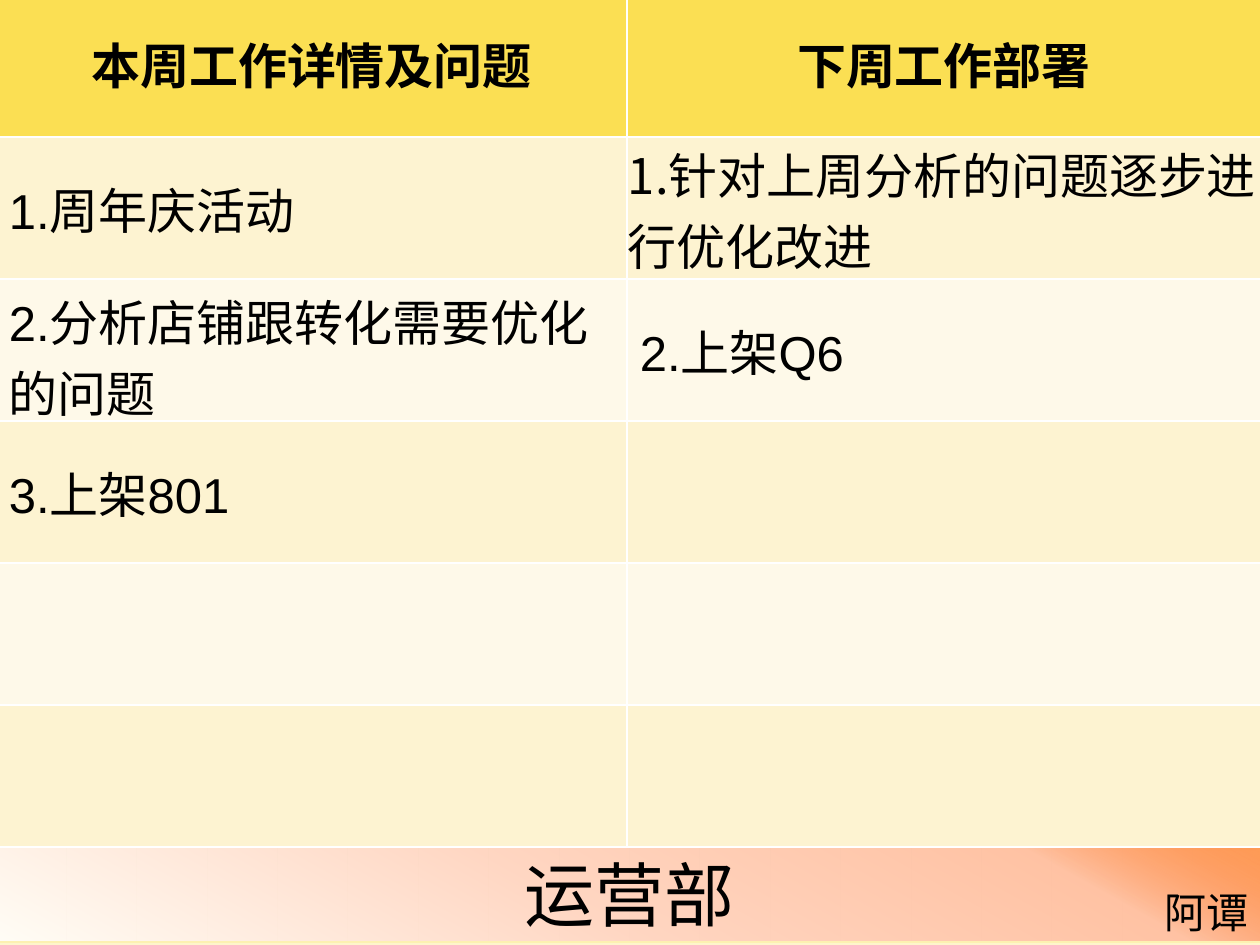
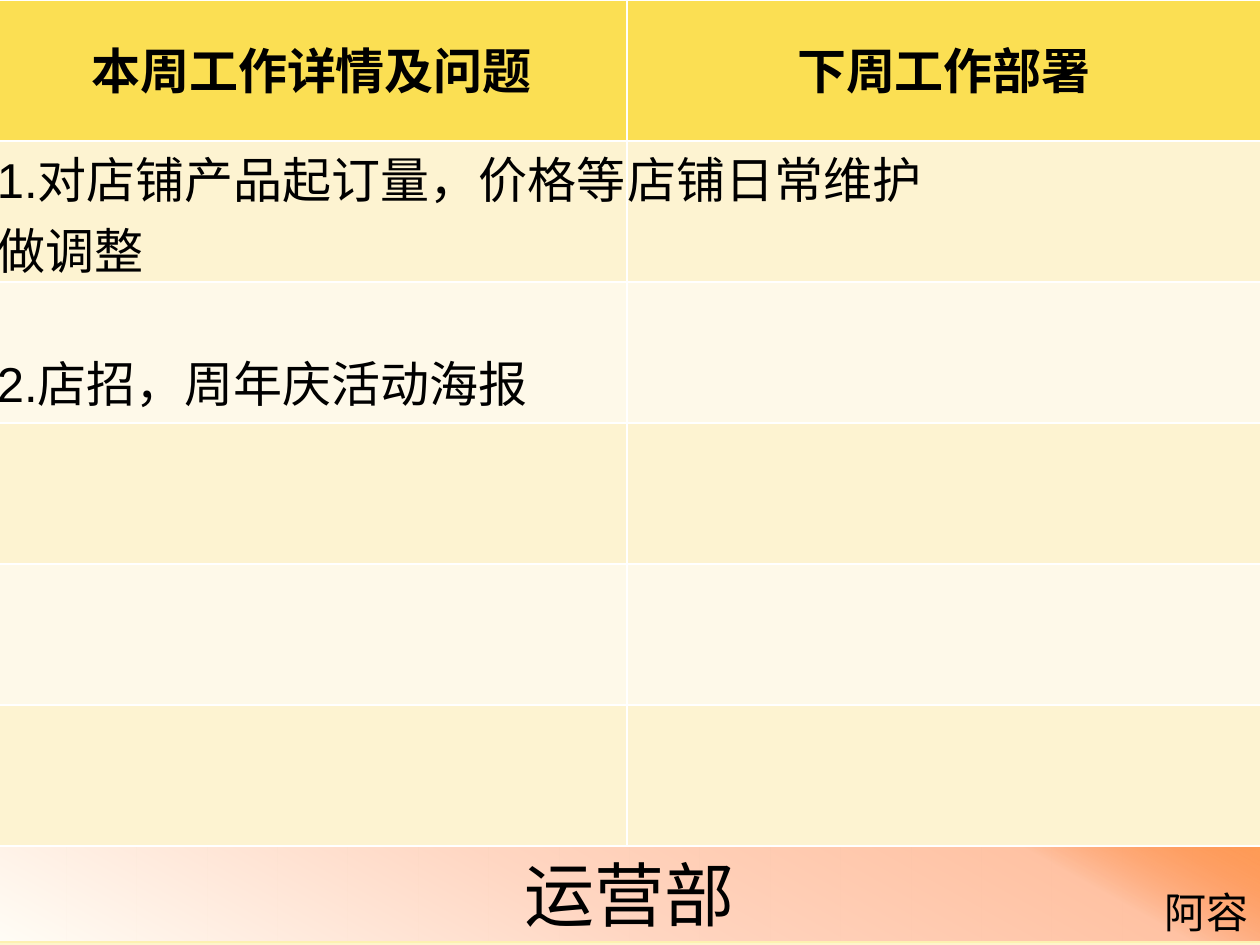
from lxml.etree import SubElement
from pptx import Presentation
from pptx.dml.color import RGBColor
from pptx.enum.shapes import MSO_SHAPE
from pptx.enum.text import MSO_ANCHOR, PP_ALIGN
from pptx.oxml.ns import qn
from pptx.util import Pt

PX = 914400 / 126
CJK, LATIN = "Noto Sans CJK SC", "Arial"
BLACK = RGBColor(0x00, 0x00, 0x00)
HEADER = RGBColor(0xFB, 0xDF, 0x53)
STRIPES = RGBColor(0xFD, 0xF3, 0xD1), RGBColor(0xFE, 0xF9, 0xE9)
IVORY = RGBColor(0xFF, 0xFD, 0xF6)
LEMON = RGBColor(0xFD, 0xF1, 0xB2)
CREAM = RGBColor(0xFE, 0xF5, 0xCB)
PEACH = RGBColor(0xFF, 0xD6, 0xC2)
SALMON = RGBColor(0xFF, 0xC2, 0xA3)
ORANGE = RGBColor(0xFF, 0x5D, 0x0D)

# Gradient stops: position %, colour, opacity %
PAGE_STOPS = [(0, IVORY, 100), (74, LEMON, 100), (83, LEMON, 100), (100, CREAM, 100)]
BAND_STOPS = [(0, IVORY, 100), (45, PEACH, 100), (83, SALMON, 100), (100, ORANGE, 58)]

HEADINGS = ("本周工作详情及问题", "下周工作部署")
DEPARTMENT = "运营部"
BAND_BOX = (-3, 845, 1265, 97)
COLUMN_WIDTHS = (631, 634)
ROW_COUNT = 6
TIGHT = (1, 1, 1, 6)
ROOMY = (13, 6, 13, 6)
TOP, MIDDLE, BOTTOM = MSO_ANCHOR.TOP, MSO_ANCHOR.MIDDLE, MSO_ANCHOR.BOTTOM

# Entries: (row, column): text, font, anchor, margins
REPORTS = [
    {
        "author": "阿谭", "top": -5, "row_height": 142,
        "entries": {
            (1, 0): ("1.周年庆活动", LATIN, MIDDLE, ROOMY),
            (1, 1): ("1.针对上周分析的问题逐步进行优化改进", CJK, BOTTOM, TIGHT),
            (2, 0): ("2.分析店铺跟转化需要优化的问题", LATIN, MIDDLE, ROOMY),
            (2, 1): ("2.上架Q6", LATIN, MIDDLE, ROOMY),
            (3, 0): ("3.上架801", LATIN, MIDDLE, ROOMY),
        },
    },
    {
        "author": "阿容", "top": 0, "row_height": 141,
        "entries": {
            (1, 0): ("1.对店铺产品起订量，价格等做调整", LATIN, BOTTOM, TIGHT),
            (1, 1): ("店铺日常维护", LATIN, TOP, TIGHT),
            (2, 0): ("2.店招，周年庆活动海报", LATIN, BOTTOM, TIGHT),
        },
    },
]


def px(*lengths):
    return [round(length * PX) for length in lengths]


def set_gradient(fill, owner, stops, angle):
    """Fill with stops; angle is clockwise degrees, owner the element holding the fill."""
    fill.gradient()
    gradient = owner.find(".//" + qn("a:gradFill"))
    stop_list = gradient.find(qn("a:gsLst"))
    for stop in list(stop_list):
        stop_list.remove(stop)
    for position, color, opacity in stops:
        stop = SubElement(stop_list, qn("a:gs"), pos=str(position * 1000))
        rgb = SubElement(stop, qn("a:srgbClr"), val=str(color))
        if opacity < 100:
            SubElement(rgb, qn("a:alpha"), val=str(opacity * 1000))
    gradient.find(qn("a:lin")).set("ang", str(angle * 60000))


def write(frame, text, size, align, latin=CJK, bold=False):
    paragraph = frame.paragraphs[0]
    paragraph.alignment = align
    run = paragraph.add_run()
    run.text = text
    font = run.font
    font.size, font.name, font.bold = Pt(size), latin, bold
    font.color.rgb = BLACK
    SubElement(run._r.get_or_add_rPr(), qn("a:ea"), typeface=CJK)


def add_footer(slide, box, author):
    """Department band with the author's name in its lower right corner."""
    left, top, width, height = box
    band = slide.shapes.add_shape(MSO_SHAPE.RECTANGLE, *px(*box))
    band.shadow.inherit = False
    set_gradient(band.fill, band._element.spPr, BAND_STOPS, 299)
    band.line.color.rgb = LEMON
    band.line.width = Pt(0.75)
    write(band.text_frame, DEPARTMENT, 40, PP_ALIGN.CENTER)

    name_width = 110
    name = slide.shapes.add_textbox(
        *px(left + width - name_width - 1, top + height - 62, name_width, 63))
    name.text_frame.word_wrap = False
    write(name.text_frame, author, 24, PP_ALIGN.RIGHT)


def set_margins(cell, margins):
    (cell.margin_left, cell.margin_top,
     cell.margin_right, cell.margin_bottom) = px(*margins)


def add_work_table(slide, left, top, row_height, entries):
    table = slide.shapes.add_table(
        ROW_COUNT, len(COLUMN_WIDTHS),
        *px(left, top, sum(COLUMN_WIDTHS), ROW_COUNT * row_height)).table
    for column, width in zip(table.columns, COLUMN_WIDTHS):
        column.width = px(width)[0]
    for row in range(ROW_COUNT):
        for column, heading in enumerate(HEADINGS):
            cell = table.cell(row, column)
            cell.fill.solid()
            cell.fill.fore_color.rgb = STRIPES[(row - 1) % 2] if row else HEADER
            if row == 0:
                cell.vertical_anchor = MIDDLE
                set_margins(cell, TIGHT)
                write(cell.text_frame, heading, 28, PP_ALIGN.CENTER, bold=True)
            elif (row, column) in entries:
                text, latin, anchor, margins = entries[row, column]
                cell.vertical_anchor = anchor
                set_margins(cell, margins)
                write(cell.text_frame, text, 28, PP_ALIGN.LEFT, latin)


def add_report(deck, author, top, row_height, entries):
    slide = deck.slides.add_slide(deck.slide_layouts[6])
    add_footer(slide, BAND_BOX, author)
    add_work_table(slide, -4, top, row_height, entries)


def main():
    deck = Presentation()
    deck.slide_width, deck.slide_height = px(1260, 945)
    master = deck.slide_master
    set_gradient(master.background.fill, master._element, PAGE_STOPS, 90)
    for report in REPORTS:
        add_report(deck, **report)
    deck.save("out.pptx")


if __name__ == "__main__":
    main()
